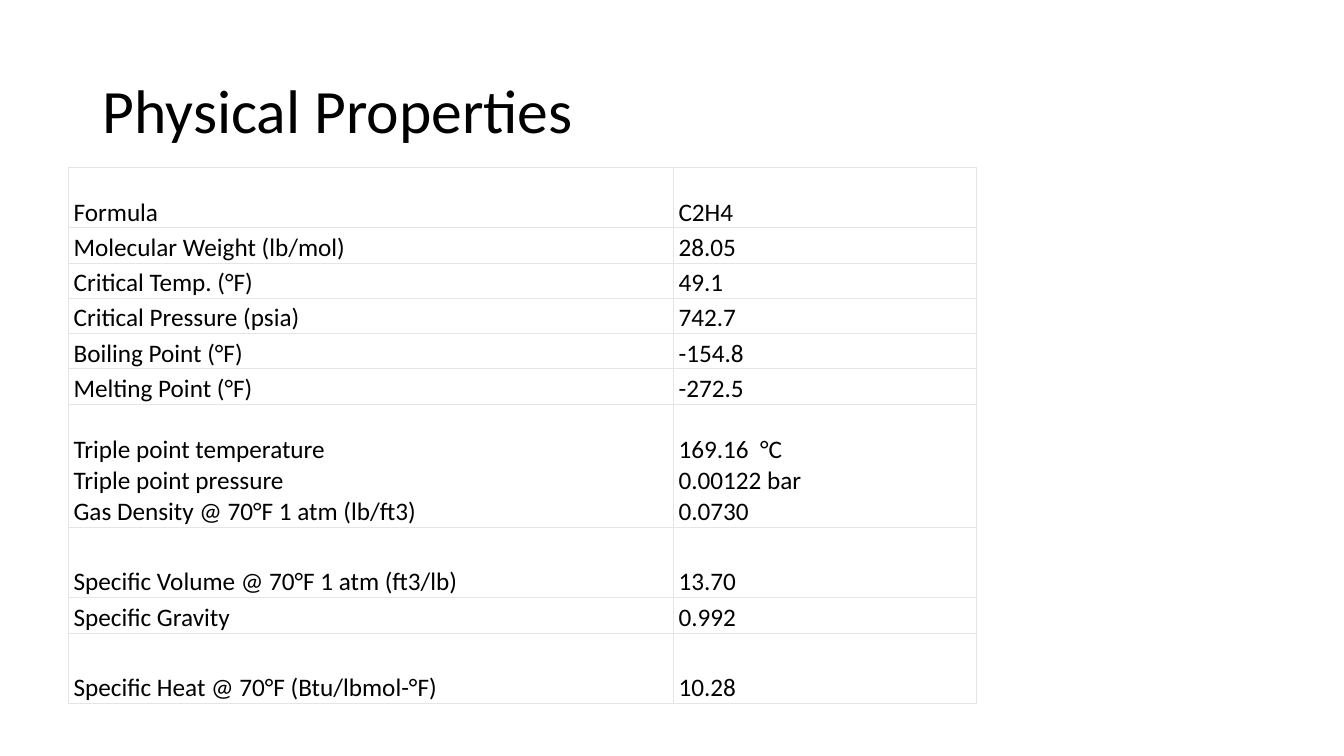
from lxml.etree import SubElement
from pptx import Presentation
from pptx.dml.color import RGBColor
from pptx.enum.text import MSO_ANCHOR
from pptx.oxml.ns import qn
from pptx.util import Inches, Pt


def paint(fill, color):
    fill.solid()
    fill.fore_color.rgb = RGBColor.from_string(color)


def style(par, size):
    par.font.size = Pt(size)
    par.font.name = "Calibri"
    par.font.bold = False
    paint(par.font.fill, "000000")


deck = Presentation()
deck.slide_width, deck.slide_height = Inches(13.33), Inches(7.5)
slide = deck.slides.add_slide(deck.slide_layouts[6])
paint(slide.background.fill, "FFFFFF")

# Title
title = slide.shapes.add_textbox(Inches(0.92), Inches(0.4), Inches(11.5), Inches(1.45))
frame = title.text_frame
frame.word_wrap = True
frame.vertical_anchor = MSO_ANCHOR.MIDDLE
frame.text = "Physical Properties"
frame.paragraphs[0].line_spacing = 0.9
style(frame.paragraphs[0], 44)

# Table data: label, value, row height
rows = [
    ("Formula", "C2H4", 0.6),
    ("Molecular Weight (lb/mol)", "28.05", 0.35),
    ("Critical Temp. (°F)", "49.1", 0.35),
    ("Critical Pressure (psia)", "742.7", 0.35),
    ("Boiling Point (°F)", "-154.8", 0.35),
    ("Melting Point (°F)", "-272.5", 0.35),
    ("Triple point temperature\nTriple point pressure\nGas Density @ 70°F 1 atm (lb/ft3)",
     "169.16  °C\n0.00122 bar\n0.0730", 1.22),
    ("Specific Volume @ 70°F 1 atm (ft3/lb)", "13.70", 0.7),
    ("Specific Gravity", "0.992", 0.35),
    ("Specific Heat @ 70°F (Btu/lbmol-°F)", "10.28", 0.7),
]

# Table frame
high = sum(row[2] for row in rows)
table = slide.shapes.add_table(
    len(rows), 2, Inches(0.68), Inches(1.66), Inches(9), Inches(high)).table
table.first_row = table.horz_banding = False
table.columns[0].width, table.columns[1].width = Inches(6), Inches(3)

# Cells
for r, (label, value, height) in enumerate(rows):
    table.rows[r].height = Inches(height)
    for c, text in enumerate((label, value)):
        cell = table.cell(r, c)
        cell.text = text
        cell.vertical_anchor = MSO_ANCHOR.BOTTOM
        cell.margin_left = cell.margin_right = Inches(0.05)
        cell.margin_top = cell.margin_bottom = 0
        for par in cell.text_frame.paragraphs:
            style(par, 18)

        # Borders come before the fill in the cell properties
        props = cell._tc.get_or_add_tcPr()
        for side in ("a:lnL", "a:lnR", "a:lnT", "a:lnB"):
            line = SubElement(props, qn(side), w=str(Pt(0.75)))
            solid = SubElement(line, qn("a:solidFill"))
            SubElement(solid, qn("a:srgbClr"), val="E5E5E5")
        paint(cell.fill, "FFFFFF")

deck.save("out.pptx")
